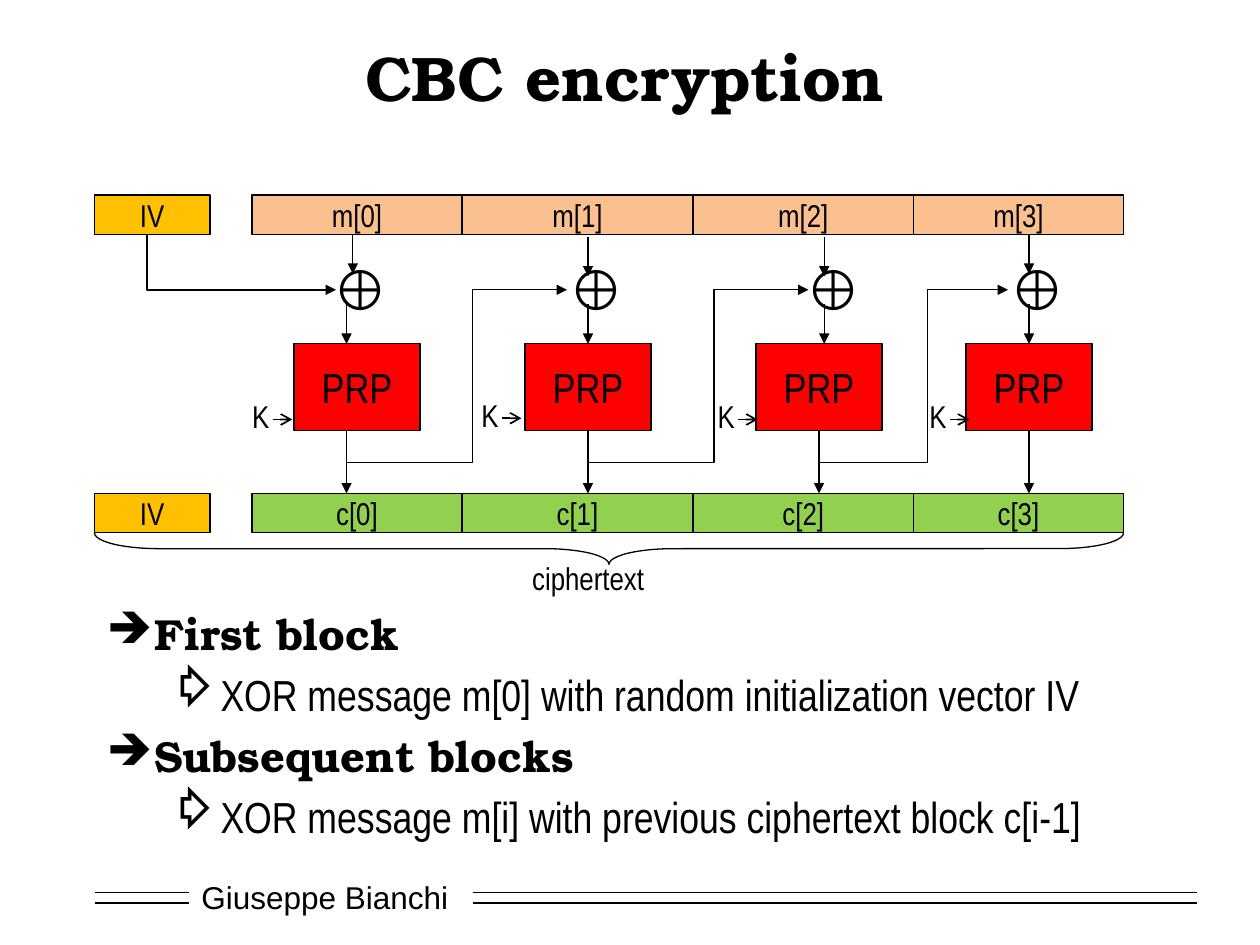
from lxml import etree
from pptx import Presentation
from pptx.dml.color import RGBColor
from pptx.enum import shapes, text
from pptx.oxml import ns
from pptx.util import Pt

BLACK = RGBColor(0, 0, 0)
WHITE = RGBColor(255, 255, 255)
RED = RGBColor(255, 0, 0)
PEACH = RGBColor(0xFA, 0xC0, 0x90)
GREEN = RGBColor(0x92, 0xD0, 0x50)
AMBER = RGBColor(0xFF, 0xC0, 0)

NARROW, SERIF, SANS = "Arial Narrow", "TeX Gyre Bonum", "Arial"

TITLE = "CBC encryption"
AUTHOR = "Giuseppe Bianchi"
POINTS = [
    ("First block", "XOR message m[0] with random initialization vector IV"),
    ("Subsequent blocks", "XOR message m[i] with previous ciphertext block c[i-1]"),
]

BLOCK_EDGES = [144, 264, 396, 522, 642]
STAGES = [
    dict(prp=168, xor=183, entry=201.6, middle=198, exit=198, key=137, entry_y=134, key_y=223.2),
    dict(prp=300, xor=318, entry=336, middle=336, exit=336, key=268, entry_y=135.5, key_y=222.5),
    dict(prp=432, xor=453, entry=471, middle=471, exit=468, key=403, entry_y=135.5, key_y=223.2),
    dict(prp=552, xor=570, entry=588, middle=588, exit=588, key=524, entry_y=134, key_y=223.2),
]
FEEDBACKS = [(270, 324), (408, 462), (530, 576)]
ROWS = [("m", 111.5, PEACH), ("c", 282, GREEN)]

ROW_H = 22.5
IV_X, IV_W = 54, 66
PRP_Y, PRP_W, PRP_H = 196.5, 72, 49.5
XOR_Y, CHAIN_Y, TAP_Y = 142, 165.6, 264.4

deck = Presentation()
deck.slide_width, deck.slide_height = Pt(720), Pt(540)
slide = deck.slides.add_slide(deck.slide_layouts[6])
canvas = slide.shapes


def write(frame, words, size=18, font=NARROW, bold=False, align=text.PP_ALIGN.LEFT,
          anchor=text.MSO_ANCHOR.TOP, wrap=False, grow=False, new=False):
    frame.word_wrap = wrap
    frame.vertical_anchor = anchor
    if grow:
        frame.auto_size = text.MSO_AUTO_SIZE.SHAPE_TO_FIT_TEXT
    paragraph = frame.add_paragraph() if new else frame.paragraphs[0]
    paragraph.alignment = align
    run = paragraph.add_run()
    run.text = words
    run.font.size, run.font.name, run.font.bold = Pt(size), font, bold
    run.font.color.rgb = BLACK
    return paragraph


def textbox(x, y, w, h):
    return canvas.add_textbox(Pt(x), Pt(y), Pt(w), Pt(h)).text_frame


def label(words, x, y, w, h, **style):
    write(textbox(x, y, w, h), words, grow=True, **style)


def outline(part, width=0.75, head=None):
    part.line.color.rgb = BLACK
    part.line.width = Pt(width)
    if head:
        etree.SubElement(part.line._get_or_add_ln(), ns.qn("a:tailEnd"), type=head)


def box(words, x, y, w, h, fill, size=18):
    block = canvas.add_shape(shapes.MSO_SHAPE.RECTANGLE, Pt(x), Pt(y), Pt(w), Pt(h))
    block.shadow.inherit = False
    block.fill.solid()
    block.fill.fore_color.rgb = fill
    outline(block)
    write(block.text_frame, words, size=size, align=text.PP_ALIGN.CENTER,
          anchor=text.MSO_ANCHOR.MIDDLE)


def line(x1, y1, x2, y2, width=0.75, head=None):
    link = canvas.add_connector(shapes.MSO_CONNECTOR.STRAIGHT, Pt(x1), Pt(y1), Pt(x2), Pt(y2))
    outline(link, width, head)
    etree.SubElement(link._element.spPr, ns.qn("a:effectLst"))


def elbow(corners, width=0.75):
    start, *rest = [(Pt(x), Pt(y)) for x, y in corners]
    builder = canvas.build_freeform(*start)
    builder.add_line_segments(rest, close=False)
    route = builder.convert_to_shape()
    route.shadow.inherit = False
    route.fill.background()
    outline(route, width, "triangle")


def bullet(paragraph, mark, left, hang):
    paragraph.space_before = Pt(5)
    props = paragraph._p.get_or_add_pPr()
    props.set("marL", str(Pt(left)))
    props.set("indent", str(-Pt(hang)))
    color = etree.SubElement(props, ns.qn("a:buClr"))
    etree.SubElement(color, ns.qn("a:srgbClr"), val=str(BLACK))
    etree.SubElement(props, ns.qn("a:buChar"), char=mark)


write(textbox(108, 498, 156, 29), AUTHOR, font=SANS, anchor=text.MSO_ANCHOR.MIDDLE, wrap=True)
for rule_y in (510, 516):
    for left, right in ((54, 108), (270, 684)):
        line(left, rule_y, right, rule_y, 1)

write(textbox(54, 18, 606, 51), TITLE, size=36, font=SERIF, bold=True,
      align=text.PP_ALIGN.CENTER, anchor=text.MSO_ANCHOR.MIDDLE, wrap=True)

for letter, row_y, fill in ROWS:
    box("IV", IV_X, row_y, IV_W, ROW_H, AMBER)
    for i, (left, right) in enumerate(zip(BLOCK_EDGES, BLOCK_EDGES[1:])):
        box(f"{letter}[{i}]", left, row_y, right - left, ROW_H, fill)

for stage in STAGES:
    box("PRP", stage["prp"], PRP_Y, PRP_W, PRP_H, RED, size=24)
    label("⊕", stage["xor"], XOR_Y, 39.6, 46, size=32)
    line(stage["entry"], stage["entry_y"], stage["entry"], stage["entry_y"] + 22.5, head="triangle")
    line(stage["middle"], 174, stage["middle"], PRP_Y, head="triangle")
    line(stage["exit"], PRP_Y + PRP_H, stage["exit"], ROWS[1][1], head="triangle")
    label("K", stage["key"], stage["key_y"], 24.5, 29)
    arrow_x, arrow_y = stage["key"] + 19, stage["key_y"] + 16.5
    line(arrow_x, arrow_y, arrow_x + 11, arrow_y, 1, "arrow")

elbow([(84, 134), (84, CHAIN_Y), (192, CHAIN_Y)], 1)
for stage, (riser, end) in zip(STAGES, FEEDBACKS):
    elbow([(stage["exit"], TAP_Y), (riser, TAP_Y), (riser, CHAIN_Y), (end, CHAIN_Y)])

span, depth = BLOCK_EDGES[-1] - IV_X, 18
brace_y = ROWS[1][1] + ROW_H
brace = canvas.add_shape(shapes.MSO_SHAPE.LEFT_BRACE, Pt(IV_X + (span - depth) / 2),
                         Pt(brace_y + (depth - span) / 2), Pt(depth), Pt(span))
brace.rotation = 270
brace.adjustments[0], brace.adjustments[1] = 2.04, 0.5
brace.shadow.inherit = False
brace.fill.background()
outline(brace)
label("ciphertext", 297, 316, 90, 29)

body = textbox(54, 343.5, 606, 136)
for i, (heading, detail) in enumerate(POINTS):
    bullet(write(body, heading, size=24.8, font=SERIF, bold=True, wrap=True, new=i > 0), "➔", 27, 27)
    item = write(body, detail, size=24.8, wrap=True, new=True)
    item.level = 1
    bullet(item, "⇨", 58.5, 22.5)

deck.save("out.pptx")
